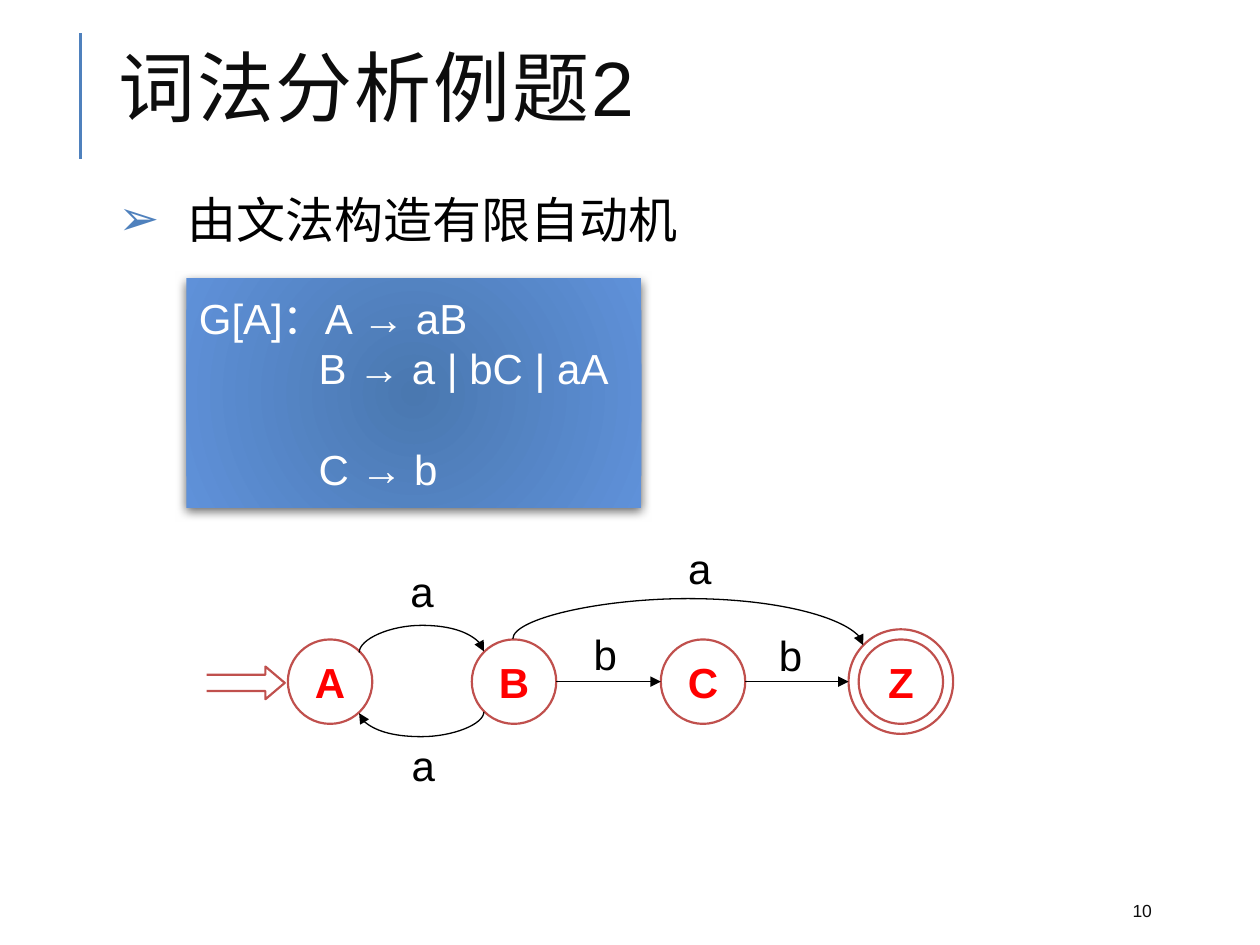
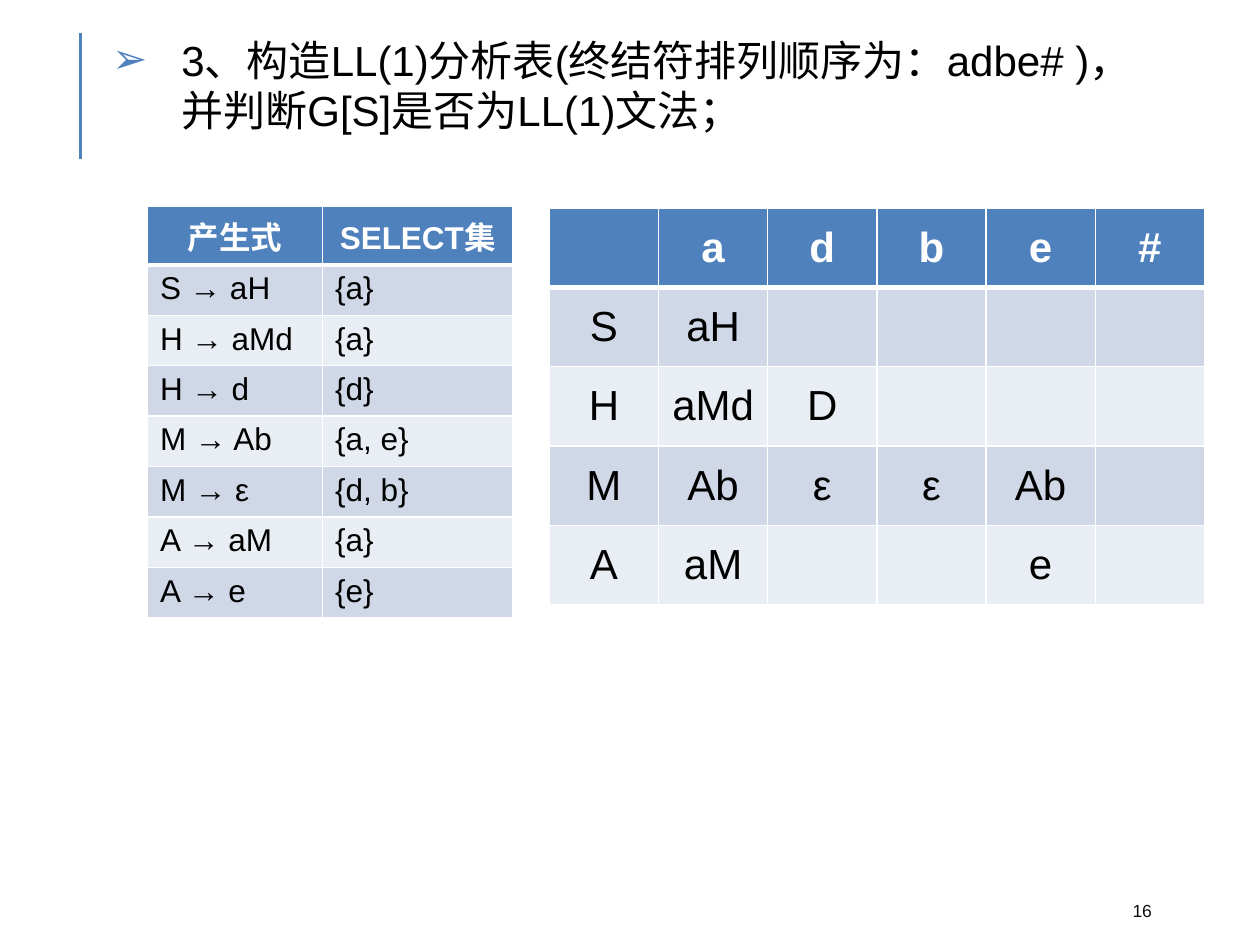
from dataclasses import dataclass

from lxml.etree import SubElement
from pptx import Presentation
from pptx.dml.color import RGBColor
from pptx.enum.shapes import MSO_CONNECTOR as Link, MSO_SHAPE as Preset
from pptx.enum.text import MSO_ANCHOR as Anchor, MSO_AUTO_SIZE as AutoSize, PP_ALIGN as Align
from pptx.oxml.ns import qn
from pptx.util import Inches, Pt


@dataclass(frozen=True)
class Theme:
    font: str = "Arial"
    accent: str = "4F81BD"
    ink: str = "000000"
    title_ink: str = "0D0D0D"
    paper: str = "FFFFFF"
    state_line: str = "C0504D"
    state_ink: str = "FF0000"
    band_dark: str = "D0D8E8"
    band_light: str = "E9EDF4"
    glow_inner: str = "4A78B0"
    glow_outer: str = "5F91D9"
    title: int = 44
    lead: int = 28
    text: int = 24
    small: int = 18
    footer: int = 10


THEME = Theme()
COLUMNS, ROWS = 100, 75


def grid(cells):
    """Length of a number of grid cells; the slide is 100 columns by 75 rows."""
    return Inches(cells / 10)


@dataclass(frozen=True)
class Box:
    left: float
    top: float
    width: float
    height: float

    def inner(self, left, top, width, height):
        return Box(self.left + left, self.top + top, width, height)

    def around(self, x, y, width, height):
        return self.inner(x - width / 2, y - height / 2, width, height)

    def point(self, x, y):
        return self.left + x, self.top + y

    @property
    def lengths(self):
        return [grid(v) for v in (self.left, self.top, self.width, self.height)]


def rgb(value):
    return RGBColor.from_string(value)


def add_xml(parent, tag, **attributes):
    return SubElement(parent, qn(tag), {k: str(v) for k, v in attributes.items()})


# Text
def write(frame, text, size=THEME.text, color=THEME.ink, bold=False, align=Align.LEFT,
          anchor=Anchor.TOP, wrap=True, bullet=None, indent=0, before=0,
          line_spacing=1.0, tracking=0, more=False):
    """Write one paragraph; more=True adds it below the text already there."""
    frame.word_wrap, frame.vertical_anchor = wrap, anchor
    frame.auto_size = AutoSize.NONE
    para = frame.add_paragraph() if more else frame.paragraphs[0]
    properties = para._p.get_or_add_pPr()
    if indent:
        properties.set("marL", str(grid(indent)))
        properties.set("indent", str(-grid(indent) if bullet else 0))
    if bullet:
        add_xml(add_xml(properties, "a:buClr"), "a:srgbClr", val=THEME.accent)
        add_xml(properties, "a:buFont", typeface=THEME.font)
        add_xml(properties, "a:buChar", char=bullet)
    para.alignment, para.line_spacing = align, line_spacing
    para.space_before, para.space_after = Pt(before), Pt(0)
    span = para.add_run()
    span.text = text
    font = span.font
    font.name, font.size, font.bold = THEME.font, Pt(size), bold
    font.color.rgb = rgb(color)
    if tracking:
        span._r.get_or_add_rPr().set("spc", str(tracking * 100))


def place(shape, box):
    shape.left, shape.top, shape.width, shape.height = box.lengths
    return shape


def add_label(page, box, text, **style):
    write(page.shapes.add_textbox(*box.lengths).text_frame, text, **style)


# Shapes and lines
def add_preset(page, preset, box, line=THEME.state_line):
    shape = page.shapes.add_shape(preset, *box.lengths)
    shape.shadow.inherit = False
    shape.fill.solid()
    shape.fill.fore_color.rgb = rgb(THEME.paper)
    if line:
        shape.line.color.rgb = rgb(line)
        shape.line.width = Pt(1.25)
    else:
        shape.line.fill.background()
    return shape


def add_line(page, start, end, color=THEME.ink, width=0.75, arrow=True, kind=Link.STRAIGHT):
    link = page.shapes.add_connector(kind, *map(grid, (*start, *end)))
    link.line.color.rgb = rgb(color)
    link.line.width = Pt(width)
    if arrow:
        add_xml(link.line._get_or_add_ln(), "a:tailEnd", type="triangle")
    add_xml(link._element.spPr, "a:effectLst")
    return link


def add_arc(page, start, end, bend):
    """Curved arrow that leaves and arrives vertically and turns at height bend."""
    mid_x, mid_y = (start[0] + end[0]) / 2, (start[1] + end[1]) / 2
    unturned = [(mid_x + y - mid_y, mid_y - x + mid_x) for x, y in (start, end)]
    arc = add_line(page, *unturned, kind=Link.CURVE)
    arc.rotation = 90
    share = (bend - start[1]) / (end[1] - start[1])
    guides = arc._element.spPr.find(qn("a:prstGeom")).get_or_add_avLst()
    add_xml(guides, "a:gd", name="adj1", fmla=f"val {round(share * 100000)}")


# Parts every slide shares
def add_page(deck, number, body, body_box, body_size, title=None):
    page = deck.slides.add_slide(deck.slide_layouts[1])
    heading, content = page.placeholders
    if title:
        place(heading, Box(8.4, 2.6, 85, 9.8))
        write(heading.text_frame, title, size=THEME.title, color=THEME.title_ink,
              anchor=Anchor.MIDDLE, line_spacing=0.8, tracking=1)
    else:
        heading._element.getparent().remove(heading._element)
    place(content, body_box)
    write(content.text_frame, body, size=body_size, bullet="➢", indent=5.5)
    add_line(page, (6.4, 12.6), (6.4, 2.6), THEME.accent, 1.5, arrow=False)
    add_label(page, Box(88.9, 70.8, 8, 3), number, size=THEME.footer,
              color=THEME.title_ink, anchor=Anchor.MIDDLE)
    return page


# Grammar panel
def add_grammar(page, box):
    panel = add_preset(page, Preset.RECTANGLE, box, line=None)
    panel.fill.gradient()
    for stop, color in zip(panel.fill.gradient_stops, (THEME.glow_inner, THEME.glow_outer)):
        stop.color.rgb = rgb(color)
    properties = panel._element.spPr
    gradient = properties.find(qn("a:gradFill"))
    gradient.remove(gradient.find(qn("a:lin")))
    circle = add_xml(gradient, "a:path", path="circle")
    add_xml(circle, "a:fillToRect", **dict.fromkeys("ltrb", 50000))
    shadow = add_xml(properties.find(qn("a:effectLst")), "a:outerShdw",
                     blurRad=Pt(6), dist=Pt(2), dir=5400000, rotWithShape=0)
    add_xml(add_xml(shadow, "a:srgbClr", val=THEME.ink), "a:alpha", val=60000)
    rules = [("G[A]：A → aB", 0, 0), ("B → a | bC | aA", 9.5, 0), ("C → b", 9.5, 28.5)]
    for row, (rule, indent, before) in enumerate(rules):
        write(panel.text_frame, rule, color=THEME.paper, anchor=Anchor.MIDDLE,
              indent=indent, before=before, more=row > 0)


# Finite automaton
def add_automaton(page, box):
    axis, size, rim = 11.5, 6.7, 8.3
    states = {"A": 11.4, "B": 26.0, "C": 41.0, "Z": 56.7}
    final = "Z"

    # Start arrow, open at its tail
    arrow = add_preset(page, Preset.RIGHT_ARROW, box.inner(0.3, 10.3, 7.5, 2.6))
    arrow.adjustments[0], arrow.adjustments[1] = 0.5, 0.59
    add_preset(page, Preset.RECTANGLE, box.inner(0, 10.4, 1.6, 2.1), line=None)

    # States
    add_preset(page, Preset.OVAL, box.around(states[final], axis, rim, rim))
    for name, x in states.items():
        circle = add_preset(page, Preset.OVAL, box.around(x, axis, size, size))
        write(circle.text_frame, name, color=THEME.state_ink, bold=True,
              align=Align.CENTER, anchor=Anchor.MIDDLE, wrap=False)

    # Straight transitions
    for source, target in ("BC", "CZ"):
        reach = (rim if target == final else size) / 2
        add_line(page, box.point(states[source] + size / 2, axis),
                 box.point(states[target] - reach, axis))

    # Curved transitions: start, end, height of the turn
    arcs = [((13.7, 9.2), (23.6, 9.1), 7.0),
            ((23.6, 13.9), (13.7, 14.0), 15.9),
            ((25.9, 8.1), (53.7, 8.6), 4.9)]
    for start, end, bend in arcs:
        add_arc(page, box.point(*start), box.point(*end), box.top + bend)

    # Transition labels
    labels = [("a", 18.7, 4.3), ("a", 18.8, 18.1), ("a", 40.75, 2.5),
              ("b", 33.25, 9.3), ("b", 47.95, 9.4)]
    for text, x, y in labels:
        add_label(page, box.around(x, y, 6.9, 5), text, align=Align.CENTER)


# Banded tables
def add_border(properties, side, width):
    line = add_xml(properties, f"a:ln{side}", w=Pt(width))
    add_xml(add_xml(line, "a:solidFill"), "a:srgbClr", val=THEME.paper)


def add_banded_table(page, box, rows, widths, size, align, anchor):
    table = page.shapes.add_table(len(rows), len(widths), *box.lengths).table
    for column, width in zip(table.columns, widths):
        column.width = grid(width)
    for r, texts in enumerate(rows):
        table.rows[r].height = grid(box.height / len(rows))
        header = r == 0
        band = THEME.accent if header else (THEME.band_light, THEME.band_dark)[r % 2]
        for c, text in enumerate(texts):
            cell = table.cell(r, c)
            for side in "LRTB":
                thick = header and side == "B" or r == 1 and side == "T"
                add_border(cell._tc.get_or_add_tcPr(), side, 3 if thick else 1)
            cell.fill.solid()
            cell.fill.fore_color.rgb = rgb(band)
            if text:
                write_cell(cell, text, size, header, align, anchor)


def write_cell(cell, text, size, header, align, anchor):
    cell.vertical_anchor = Anchor.MIDDLE if header else anchor
    para = cell.text_frame.paragraphs[0]
    para.alignment = Align.CENTER if header else align
    span = para.add_run()
    span.text = text
    span.font.name, span.font.size, span.font.bold = THEME.font, Pt(size), header
    span.font.color.rgb = rgb(THEME.paper if header else THEME.ink)


def add_parse_table(page, box):
    rows = [("", "a", "d", "b", "e", "#"),
            ("S", "aH", "", "", "", ""),
            ("H", "aMd", "D", "", "", ""),
            ("M", "Ab", "ε", "ε", "Ab", ""),
            ("A", "aM", "", "", "e", "")]
    add_banded_table(page, box, rows, [box.width / 6] * 6, THEME.text,
                     Align.CENTER, Anchor.MIDDLE)


def add_select_table(page, box):
    rows = [("产生式", "SELECT集"),
            ("S → aH", "{a}"), ("H → aMd", "{a}"), ("H → d", "{d}"),
            ("M → Ab", "{a, e}"), ("M → ε", "{d, b}"),
            ("A → aM", "{a}"), ("A → e", "{e}")]
    add_banded_table(page, box, rows, [13.9, 15.1], THEME.small, Align.LEFT, Anchor.TOP)


def main():
    deck = Presentation()
    deck.slide_width, deck.slide_height = grid(COLUMNS), grid(ROWS)

    page = add_page(deck, "10", "由文法构造有限自动机", Box(8.4, 14.5, 85, 56.3),
                    THEME.lead, title="词法分析例题2")
    add_grammar(page, Box(14.8, 22.1, 36.1, 18.2))
    add_automaton(page, Box(14.8, 42.6, 60.8, 20.6))

    page = add_page(deck, "16",
                    "3、构造LL(1)分析表(终结符排列顺序为：adbe# )，并判断G[S]是否为LL(1)文法；",
                    Box(7.9, 2.2, 85, 10.7), THEME.text)
    add_parse_table(page, Box(43.6, 16.5, 52, 31.5))
    add_select_table(page, Box(11.7, 16.4, 29, 32))

    deck.save("out.pptx")


if __name__ == "__main__":
    main()
